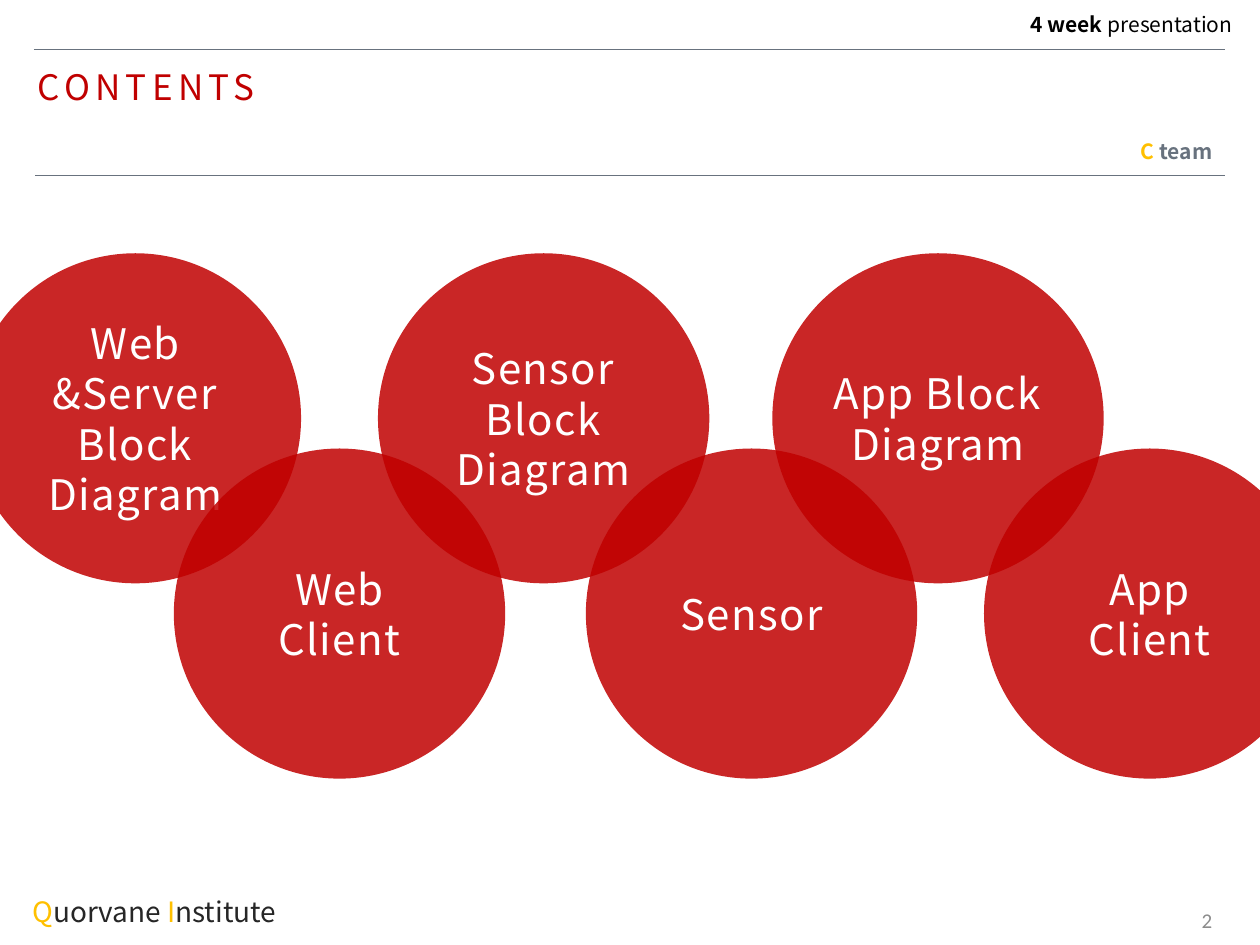
from pptx import Presentation
from pptx.dml.color import RGBColor as RGB
from pptx.enum.shapes import MSO_CONNECTOR as CONN, MSO_SHAPE as SHAPE
from pptx.enum.text import MSO_ANCHOR as ANCHOR, PP_ALIGN as ALIGN
from pptx.oxml.ns import qn
from pptx.util import Inches, Pt
from lxml.etree import SubElement

RED = RGB(0xC0, 0x00, 0x00)
GOLD = RGB(0xFF, 0xC0, 0x00)
SLATE = RGB(0x68, 0x72, 0x7E)
DARK = RGB(0x26, 0x26, 0x26)
GRAY = RGB(0x8C, 0x8C, 0x8C)
BLACK = RGB(0x00, 0x00, 0x00)
WHITE = RGB(0xFF, 0xFF, 0xFF)


class Deck:
    """Holds the style and the current slide."""

    font = "Noto Sans CJK KR"
    circle_size = (2.63, 2.62)
    circle_format = {"size": Pt(24), "color": WHITE, "spacing": 0.8}

    def __init__(self, prs):
        self.s = prs.slides.add_slide(prs.slide_layouts[6])

    def run(self, p, text, color, spacing=0, **fmt):
        r = p.add_run()
        r.text = text
        for key, value in {"name": self.font, **fmt}.items():
            setattr(r.font, key, value)
        r.font.color.rgb = color
        rPr = r._r.get_or_add_rPr()
        if spacing:
            rPr.set("spc", str(round(spacing * 100)))
        SubElement(rPr, qn("a:ea")).set("typeface", r.font.name)

    def rule(self, x1, x2, y):
        sp = self.s.shapes.add_connector(
            CONN.STRAIGHT, Inches(x1), Inches(y), Inches(x2), Inches(y))
        sp.line.color.rgb = SLATE
        sp.line.width = Pt(0.25)
        SubElement(sp._element.spPr, qn("a:effectLst"))

    def text(self, box, runs, align=ALIGN.LEFT, line_spacing=1.0,
             anchor=ANCHOR.TOP, **fmt):
        tf = self.s.shapes.add_textbox(*map(Inches, box)).text_frame
        tf.word_wrap = True
        tf.vertical_anchor = anchor
        p = tf.paragraphs[0]
        p.alignment = align
        p.line_spacing = line_spacing
        for text, color, *bold in runs:
            self.run(p, text, color, **fmt, bold=bool(bold))

    def circle(self, x, y, lines):
        sp = self.s.shapes.add_shape(
            SHAPE.OVAL, *map(Inches, (x, y, *self.circle_size)))
        sp.shadow.inherit = False
        sp.line.fill.background()
        sp.fill.solid()
        sp.fill.fore_color.rgb = RED
        clr = sp._element.spPr.find(qn("a:solidFill"))[0]
        SubElement(clr, qn("a:alpha")).set("val", "85000")
        tf = sp.text_frame
        tf.word_wrap = True
        tf.vertical_anchor = ANCHOR.MIDDLE
        for i, line in enumerate(lines):
            p = tf.add_paragraph() if i else tf.paragraphs[0]
            p.alignment = ALIGN.CENTER
            self.run(p, line, **self.circle_format)


prs = Presentation()
prs.slide_width, prs.slide_height = Inches(10), Inches(7.5)
deck = Deck(prs)

deck.rule(0.27, 9.72, 0.39)
deck.rule(0.28, 9.72, 1.39)
deck.text((0.2, 0.51, 2.44, 0.4), [("CONTENTS", RED)],
          line_spacing=0.9, size=Pt(20), spacing=3)
deck.text((0.16, 6.92, 4.42, 0.46),
          [("Q", GOLD), ("uorvane ", DARK), ("I", GOLD), ("nstitute", DARK)],
          line_spacing=1.5, size=Pt(16))
deck.text((7.83, 0.08, 2.05, 0.26),
          [("4 week ", BLACK, True), ("presentation", BLACK)],
          ALIGN.RIGHT, 0.8, size=Pt(12))
deck.text((7.67, 1.09, 2.05, 0.26),
          [("C", GOLD, True), (" team", SLATE, True)],
          ALIGN.RIGHT, 0.8, size=Pt(12))
deck.text((7.47, 7.1, 2.25, 0.4), [("2", GRAY)], ALIGN.RIGHT,
          anchor=ANCHOR.MIDDLE, size=Pt(12), name="Calibri")

TOP, BOTTOM = 2.01, 3.56
for x, y, lines in (
    (-0.24, TOP, ["Web", "&Server Block Diagram"]),
    (1.38, BOTTOM, ["Web", "Client"]),
    (6.13, TOP, ["App Block Diagram"]),
    (7.81, BOTTOM, ["App", "Client"]),
    (4.65, BOTTOM, ["Sensor"]),
    (3, TOP, ["Sensor Block Diagram"]),
):
    deck.circle(x, y, lines)

prs.save("out.pptx")
